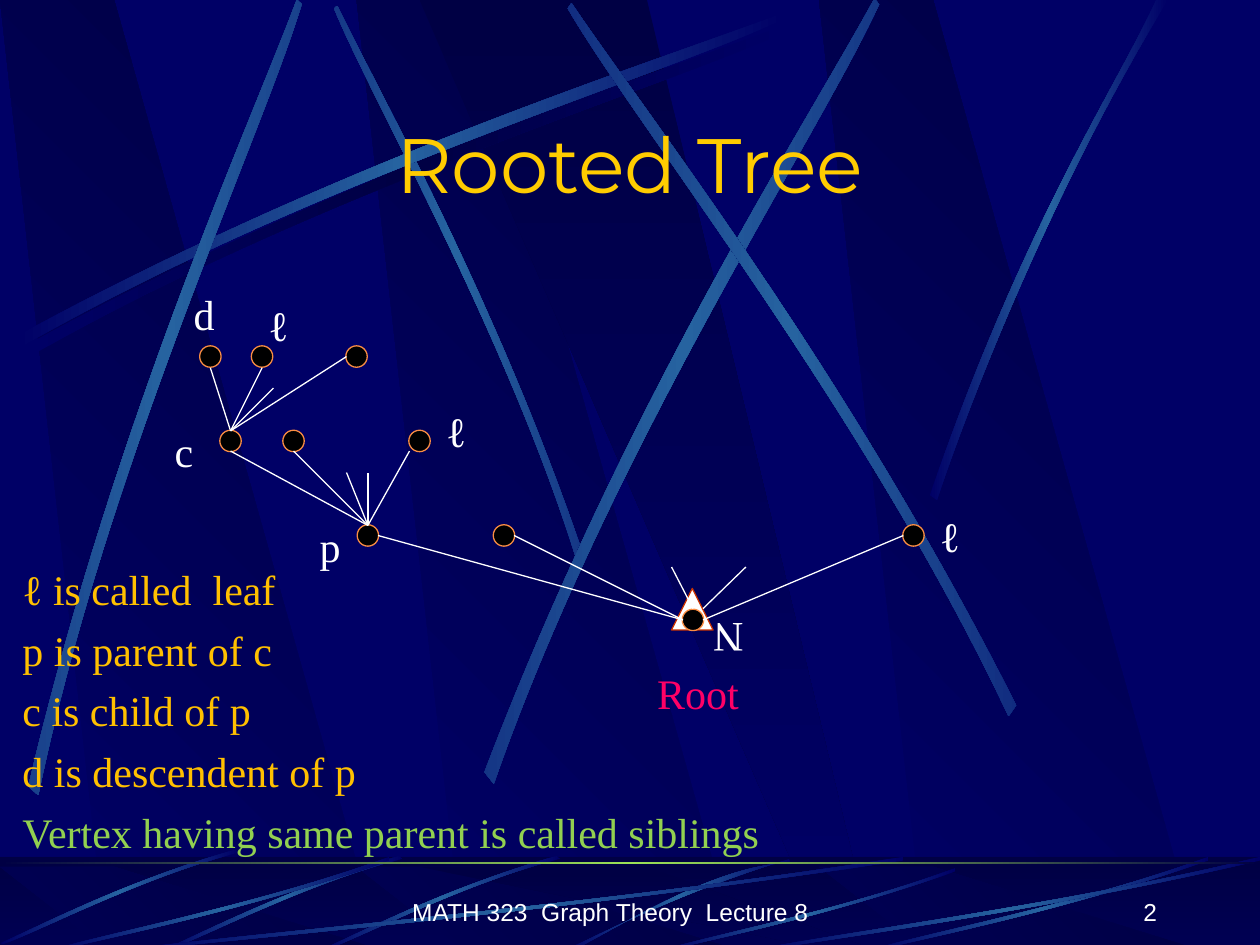
from dataclasses import dataclass

from lxml import etree
from pptx import Presentation
from pptx import util as u
from pptx.dml.color import RGBColor
from pptx.enum import shapes, text
from pptx.oxml.ns import qn

Inches, Pt = u.Inches, u.Pt
SHAPE, ALIGN, ANCHOR = shapes.MSO_SHAPE, text.PP_ALIGN, text.MSO_ANCHOR


@dataclass(frozen=True)
class Theme:
    navy: str = "000066"
    dark: str = "000044"
    ray: str = "2663A0"
    rule: str = "9CE157"
    title: str = "FFCC00"
    white: str = "FFFFFF"
    black: str = "000000"
    ring: str = "F98D43"
    triangle: str = "CC3300"
    root: str = "FF0066"
    amber: str = "FFC000"
    green: str = "92D050"
    head_font: str = "Montserrat"
    body_font: str = "Times New Roman"
    foot_font: str = "Arial"
    title_size: int = 44
    body_size: int = 24
    foot_size: int = 14


T = Theme()
GLOW = (T.navy, T.ray, T.navy)
SHADE = (T.navy, T.dark, T.navy)

# Outlines in a unit box; curved ones hold two Bezier edges of four points
BEAM = [(0.28, 1), (1, 1), (0.3, 0), (0, 0)]
WEDGE = [(0, 0), (0.9, 1), (1, 1), (0.5, 0)]
RAY = [(0, 0.96), (0.43, 0.43), (0.83, 0.15), (1, 0),
       (1, 0.02), (0.84, 0.19), (0.38, 0.5), (0, 1)]
TALL_RAY = [(0, 0.99), (0.4, 0.44), (0.79, 0.17), (0.95, 0),
            (1, 0), (0.52, 0.37), (0.16, 0.81), (0.03, 1)]
SHORT_RAY = [(0.99, 0), (0.49, 0.37), (0.16, 0.82), (0, 0.99),
             (0.03, 1), (0.23, 0.75), (0.68, 0.04), (1, 0.04)]


def rgb(value):
    return RGBColor.from_string(value)


def gradient(sp, colors, angle=0):
    """Fill with evenly spaced stops; angle runs clockwise on the page."""
    sp.shadow.inherit = False
    sp.line.fill.background()
    sp.fill.gradient()
    sp.fill.gradient_angle = (360 - angle) % 360
    stops = sp._element.spPr.find(".//" + qn("a:gsLst"))
    stops.getparent().set("rotWithShape", "0")
    for old in list(stops):
        stops.remove(old)
    for i, color in enumerate(colors):
        stop = etree.SubElement(stops, qn("a:gs"), pos=str(100000 * i // (len(colors) - 1)))
        etree.SubElement(stop, qn("a:srgbClr"), val=color)


def outline(s, box, points, colors, angle=0):
    x, y, w, h = box
    pts = [(Inches(x + w * px), Inches(y + h * py)) for px, py in points]
    builder = s.shapes.build_freeform(*pts[0])
    builder.add_line_segments(pts[1:], close=True)
    sp = builder.convert_to_shape()
    gradient(sp, colors, angle)
    return sp


def ray(s, box, points=RAY, rot=0, flip_h=False, flip_v=False, colors=GLOW):
    pts = [(1 - x if flip_h else x, 1 - y if flip_v else y) for x, y in points]
    sp = outline(s, box, pts, colors)
    sp.rotation = rot
    # Turn the two long edges into Bezier curves
    lines = list(sp._element.spPr.iter(qn("a:lnTo")))
    for edge in (lines[:3], lines[4:]):
        curve = etree.Element(qn("a:cubicBezTo"))
        edge[0].addprevious(curve)
        for line in edge:
            curve.append(line[0])
            line.getparent().remove(line)


def plain(s, kind, box, fill, line=None):
    sp = s.shapes.add_shape(kind, *map(Inches, box))
    sp.shadow.inherit = False
    sp.fill.solid()
    sp.fill.fore_color.rgb = rgb(fill)
    if line:
        sp.line.color.rgb = rgb(line)
        sp.line.width = Pt(0.75)
    else:
        sp.line.fill.background()
    return sp


def style(p, color, size, font, align):
    p.alignment = align
    p.font.size, p.font.name = Pt(size), font
    p.font.color.rgb = rgb(color)


def write(s, box, lines, size=T.body_size, font=T.body_font, align=ALIGN.CENTER,
          anchor=ANCHOR.TOP, gap=0):
    """Text box from (wording, colour) lines."""
    sp = s.shapes.add_textbox(*map(Inches, box))
    tf = sp.text_frame
    tf.word_wrap, tf.vertical_anchor = True, anchor
    for i, (words, color) in enumerate(lines):
        p = tf.add_paragraph() if i else tf.paragraphs[0]
        p.text = words
        style(p, color, size, font, align)
        if i:
            p.space_before = Pt(gap)
    return sp


def beams(s, box):
    x, y, _, h = box
    for dx in (2.83, 0, 6.5):
        outline(s, (x + dx, y, 3.02, h), BEAM, (T.navy, T.dark), 315)
    outline(s, (x + 3.33, y, 3.61, h), WEDGE, (T.dark, T.navy), 90)


def backdrop(s, box):
    x, y, _, _ = box
    beams(s, box)
    ray(s, (x + 0.2, y + 0.18, 6.08, 2.67), colors=SHADE)
    for dx, dy, w, h, rot, flip in [(1.41, 1.35, 4.42, 1.75, 45, True),
                                    (0.14, 0.1, 6.08, 2.67, 0, False),
                                    (-1.71, 1.82, 6.08, 2.67, 311.7, False),
                                    (2.31, 1.6, 6.24, 3.01, 321.6, False),
                                    (3.23, 1.52, 6.08, 2.67, 34.8, True)]:
        ray(s, (x + dx, y + dy, w, h), rot=rot, flip_h=flip)
    ray(s, (x + 7.38, y, 1.89, 3.97), TALL_RAY)


def floor(s, box):
    x, y, w, h = box
    gradient(plain(s, SHAPE.RECTANGLE, box, T.dark), (T.dark, T.navy), 90)
    beams(s, (x, y + 0.08, w, 0.66))
    veil = plain(s, SHAPE.RECTANGLE, box, T.dark)
    color = veil._element.spPr.find(".//" + qn("a:srgbClr"))
    etree.SubElement(color, qn("a:alpha"), val="50000")
    # Rays: rising, then sweeping
    ray(s, (x + 4.48, y + 0.02, 1.8, 0.73), SHORT_RAY)
    for dx, dy in ((2.58, -0.04), (1.33, -0.04), (0.03, -0.09)):
        ray(s, (x + dx, y + dy, 1.84, 0.83), rot=314.9, flip_h=True)
    for dx, dy, rw in ((1, 0, 6.17), (0.42, 0, 2.67), (5.27, 0.09, 2.31),
                       (6.92, 0, 2.67), (6, 0, 4)):
        ray(s, (x + dx, y + dy, rw, h - dy), flip_h=True, flip_v=True)
    rule = plain(s, SHAPE.RECTANGLE, (x, y + 0.04, w, 0.02), T.rule)
    gradient(rule, (T.dark, T.rule, T.dark))


def move_to_master(s, master):
    for sp in list(s.shapes):
        if not sp.is_placeholder:
            master.shapes._spTree.append(sp._element)


def footer(s, box):
    x, y, _, h = box
    for dx, w, words, align in (
            (3.08, 3.53, "MATH 323  Graph Theory  Lecture 8", ALIGN.CENTER),
            (7.2, 2.08, "2", ALIGN.RIGHT)):
        write(s, (x + dx, y, w, h), [(words, T.white)], T.foot_size,
              T.foot_font, align, ANCHOR.BOTTOM)


def title(s, box):
    sp = s.shapes.title
    sp.left, sp.top, sp.width, sp.height = map(Inches, box)
    tf = sp.text_frame
    tf.text = "Rooted Tree"
    tf.vertical_anchor = ANCHOR.MIDDLE
    style(tf.paragraphs[0], T.title, T.title_size, T.head_font, ALIGN.CENTER)


def tree(s, box):
    x, y, _, _ = box
    d = 0.17
    plain(s, SHAPE.ISOSCELES_TRIANGLE, (x + 4.33, y + 2.67, 0.33, 0.33), T.white, T.triangle)
    # Vertices by level: centre height, then centres across
    levels = {0.83: (0.67, 1.08, 1.83), 1.5: (0.83, 1.33, 2.33),
              2.25: (1.92, 3, 6.25), 2.92: (4.5,)}
    for cy, centres in levels.items():
        for cx in centres:
            plain(s, SHAPE.OVAL, (x + cx - d / 2, y + cy - d / 2, d, d), T.black, T.ring)
    # Edges: from each parent to its children and open branches
    edges = {(4.58, 2.92): [(6.17, 2.25)],
             (4.42, 2.92): [(3.08, 2.25), (2, 2.25)],
             (4.5, 2.83): [(4.33, 2.5)],
             (4.58, 2.83): [(4.92, 2.5)],
             (1.92, 2.17): [(2.25, 1.58), (1.33, 1.58), (0.83, 1.58), (1.75, 1.75), (1.92, 1.75)],
             (0.83, 1.42): [(1.75, 0.83), (1.08, 0.92), (0.67, 0.92), (1.17, 1.08)]}
    for (ax, ay), ends in edges.items():
        for bx, by in ends:
            c = s.shapes.add_connector(shapes.MSO_CONNECTOR.STRAIGHT, Inches(x + ax),
                                       Inches(y + ay), Inches(x + bx), Inches(y + by))
            c.line.color.rgb, c.line.width = rgb(T.white), Pt(0.75)
            etree.SubElement(c._element.spPr, qn("a:effectLst"))
    # Labels
    for words, dx, dy in (("p", 1.33, 2.08), ("c", 0.17, 1.33), ("d", 0.33, 0.24),
                          ("ℓ", 2.33, 1.17), ("ℓ", 6.25, 2), ("ℓ", 0.92, 0.33)):
        write(s, (x + dx, y + dy, 0.58, 0.5), [(words, T.white)])
    write(s, (x + 4.67, y + 2.83, 0.33, 0.5), [("N", T.white)]).rotation = 180
    write(s, (x + 3.58, y + 3.25, 1.92, 0.5), [("Root", T.root)])


def definitions(s, box):
    lines = ["ℓ is called  leaf", "p is parent of c", "c is child of p", "d is descendent of p"]
    write(s, box, [(line, T.amber) for line in lines]
          + [("Vertex having same parent is called siblings", T.green)],
          align=ALIGN.LEFT, gap=6)


def main():
    prs = Presentation()
    prs.slide_width, prs.slide_height = Inches(10), Inches(7.5)
    s = prs.slides.add_slide(prs.slide_layouts[5])
    # Master decoration
    master = prs.slide_master
    master.background.fill.solid()
    master.background.fill.fore_color.rgb = rgb(T.navy)
    backdrop(s, (0, 0, 10, 7.52))
    floor(s, (0, 6.8, 10, 0.75))
    move_to_master(s, master)
    # Slide content
    title(s, (0.75, 0.88, 8.5, 0.83))
    tree(s, (1, 2, 7, 4))
    definitions(s, (0.08, 4.42, 6.17, 2.44))
    footer(s, (0, 6.9, 10, 0.5))
    prs.save("out.pptx")


if __name__ == "__main__":
    main()
